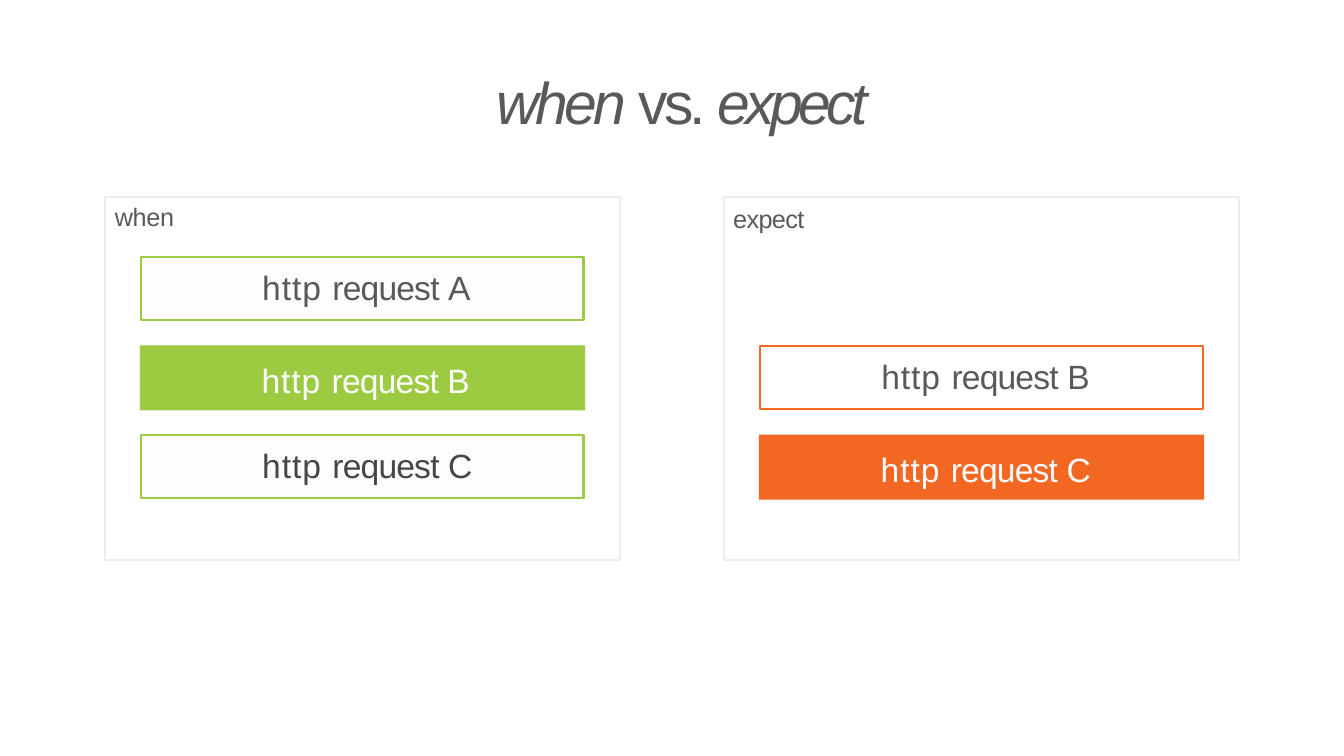
from pptx import Presentation
from pptx.dml.color import RGBColor
from pptx.enum.shapes import MSO_SHAPE
from pptx.enum.text import MSO_ANCHOR, PP_ALIGN
from pptx.util import Inches, Pt

GRAY = RGBColor(0x58, 0x59, 0x5B)
DARK = RGBColor(0x46, 0x45, 0x47)
PALE = RGBColor(0xFF, 0xFC, 0xFF)
FRAME = RGBColor(0xED, 0xED, 0xEE)
GREEN = RGBColor(0x9C, 0xCB, 0x42)
ORANGE = RGBColor(0xF2, 0x67, 0x22)

PANEL_TOP = 2.6
WHEN_LEFT, EXPECT_LEFT = 1.39, 9.58
BAR_TOP, BAR_PITCH, BAR_INDENT = 3.4, 1.18, 0.47
LETTER_SPACING = {"A": -1.8, "B": -4, "C": -4.5}


def write(holder, pieces, size, color, indent=0, drop=0):
    """Fill a shape with one line of (text, spacing, italic) pieces."""
    frame = holder.text_frame
    frame.word_wrap = True
    frame.vertical_anchor = MSO_ANCHOR.TOP
    frame.margin_left, frame.margin_top = Inches(indent), Inches(drop)
    frame.margin_right = frame.margin_bottom = 0
    line = frame.paragraphs[0]
    line.alignment = PP_ALIGN.LEFT
    line.font.name = "Arial"
    line.font.size = Pt(size)
    line.font.color.rgb = color
    for text, spacing, italic in pieces:
        run = line.add_run()
        run.text = text
        run.font.italic = italic
        run.font._element.set("spc", str(round(spacing * 100)))


def add_text(slide, left, top, width, height, pieces, size, indent=0):
    """Add a text box holding one gray line."""
    box = slide.shapes.add_textbox(
        Inches(left), Inches(top), Inches(width), Inches(height))
    write(box, pieces, size, GRAY, indent)


def add_box(slide, left, top, width, height, fill=None, outline=None):
    """Add a flat rectangle with an optional fill and outline."""
    box = slide.shapes.add_shape(
        MSO_SHAPE.RECTANGLE,
        Inches(left), Inches(top), Inches(width), Inches(height))
    box.shadow.inherit = False
    if fill is None:
        box.fill.background()
    else:
        box.fill.solid()
        box.fill.fore_color.rgb = fill
    if outline is None:
        box.line.fill.background()
    else:
        box.line.color.rgb = outline
        box.line.width = Pt(2)
    return box


def add_panel(slide, left):
    """Add the light frame around one group of requests."""
    return add_box(slide, left, PANEL_TOP, 6.81, 4.81, outline=FRAME)


def add_request(slide, panel_left, letter, accent, fill=None,
                color=GRAY, matched=False):
    """Add a request bar in its letter's row, solid when matched."""
    left = panel_left + BAR_INDENT
    top = BAR_TOP + BAR_PITCH * "ABC".index(letter)
    if matched:
        bar = add_box(slide, left - 0.01, top - 0.01, 5.89, 0.86, accent)
        color, drop = PALE, 0.19
    else:
        bar = add_box(slide, left, top, 5.86, 0.83, fill, accent)
        drop = 0.13
    pieces = [("http ", 0.9, False), ("request ", -0.8, False),
              (letter, LETTER_SPACING[letter], False)]
    write(bar, pieces, 32, color, 1.61, drop)


def main():
    """Build the when vs. expect slide."""
    deck = Presentation()
    deck.slide_width, deck.slide_height = Inches(17.78), Inches(10)
    slide = deck.slides.add_slide(deck.slide_layouts[6])

    add_panel(slide, WHEN_LEFT)
    title = [("when ", -3.5, True), ("vs. ", -4, False), ("expect", -4.5, True)]
    add_text(slide, 2.27, 0.87, 13.24, 0.95, title, 56, 4.3)

    add_request(slide, WHEN_LEFT, "A", GREEN, PALE)
    add_request(slide, WHEN_LEFT, "B", GREEN, matched=True)
    add_request(slide, WHEN_LEFT, "C", GREEN, PALE, DARK)
    add_request(slide, EXPECT_LEFT, "B", ORANGE)
    add_request(slide, EXPECT_LEFT, "C", ORANGE, matched=True)

    add_text(slide, WHEN_LEFT + 0.12, 2.66, 0.81, 0.42,
             [("when", -0.3, False)], 24, 0.01)
    expect = add_panel(slide, EXPECT_LEFT)
    write(expect, [("expect", -0.6, False)], 24, GRAY, 0.12, 0.09)

    deck.save("out.pptx")


if __name__ == "__main__":
    main()
